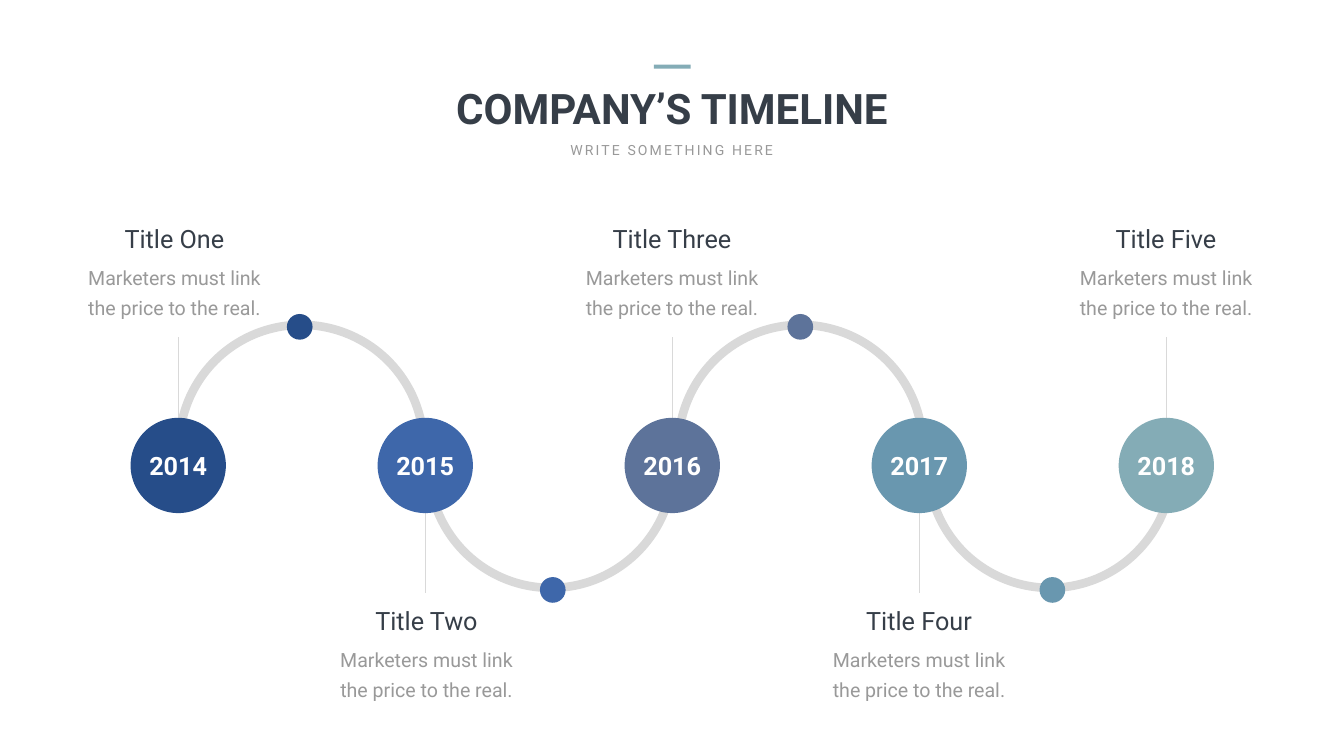
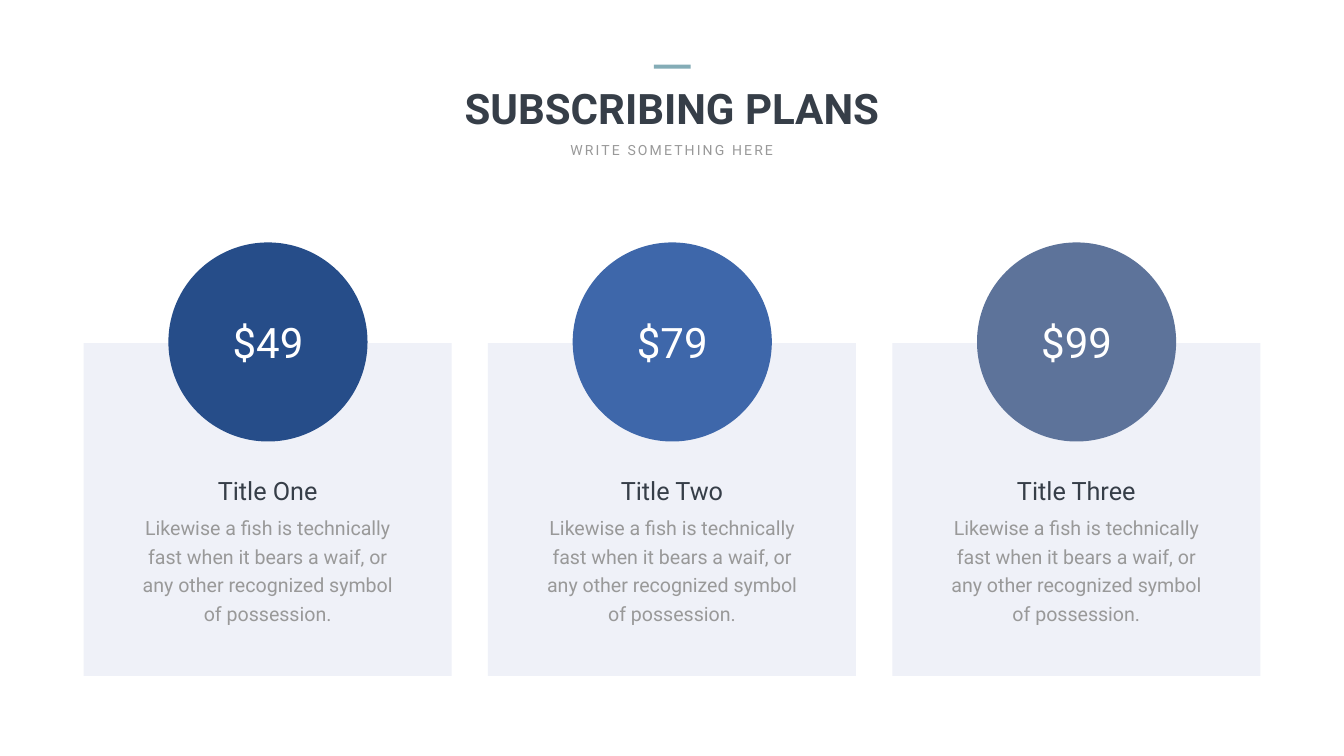
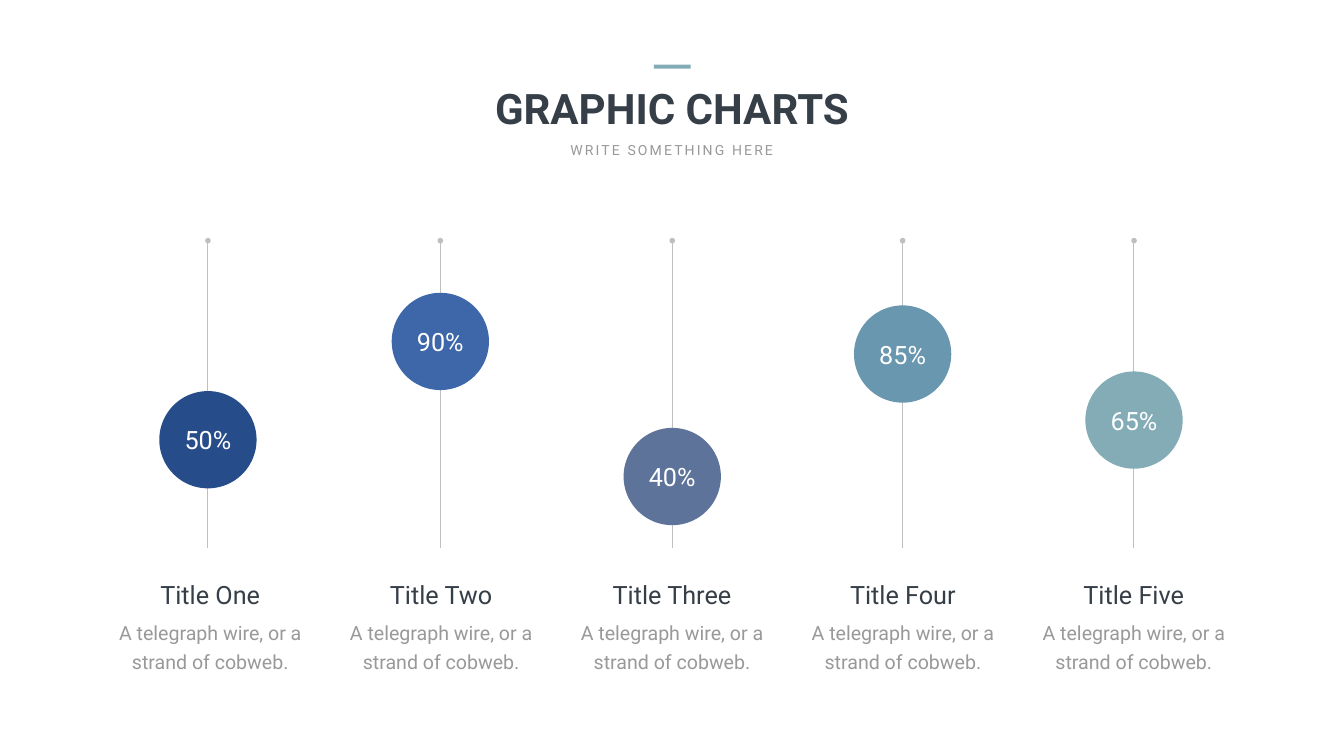
from pptx import Presentation
from pptx.dml.color import RGBColor as RGB
from pptx.enum.shapes import MSO_CONNECTOR as LINE, MSO_SHAPE as KIND
from pptx.enum.text import MSO_ANCHOR as ANCHOR, MSO_AUTO_SIZE as FIT, PP_ALIGN as ALIGN
from pptx.oxml.ns import qn
from pptx.util import Inches, Pt

FONT = "Roboto"
INK = {
    "white": "FFFFFF", "dark": "363E48", "text": "999999", "card": "EFF1F8",
    "path": "D9D9D9", "scale": "BFBFBF", "navy": "264D89", "blue": "3E67AA",
    "slate": "5D739A", "steel": "6997AF", "teal": "84ACB6",
}
HUES = ["navy", "blue", "slate", "steel", "teal"]
NAMES = ["Title One", "Title Two", "Title Three", "Title Four", "Title Five"]


def put(slide, box, kind=None, fill=None):
    """Add a filled shape, or a text box when no kind is given; box is in inches."""
    box = [Inches(n) for n in box]
    if kind is None:
        return slide.shapes.add_textbox(*box)
    shape = slide.shapes.add_shape(kind, *box)
    shape.shadow.inherit = False
    shape.fill.solid()
    shape.fill.fore_color.rgb = RGB.from_string(INK[fill])
    shape.line.fill.background()
    return shape


def write(shape, text, size, ink, bold=False, pitch=None, wrap=True, anchor=ANCHOR.TOP):
    frame = shape.text_frame
    frame.auto_size = FIT.NONE
    frame.word_wrap = wrap
    frame.vertical_anchor = anchor
    para = frame.paragraphs[0]
    para.text = text
    para.alignment = ALIGN.CENTER
    if pitch:
        para.line_spacing = Pt(pitch)
    font = para.font
    font.name, font.size, font.bold = FONT, Pt(size), bold
    font.color.rgb = RGB.from_string(INK[ink])
    return para


deck = Presentation()
deck.slide_width, deck.slide_height = Inches(26.66), Inches(15)

# Shared header
slides = []
for title in ["COMPANY’S TIMELINE", "SUBSCRIBING PLANS", "GRAPHIC CHARTS"]:
    slide = deck.slides.add_slide(deck.slide_layouts[5])
    slide.background.fill.solid()
    slide.background.fill.fore_color.rgb = RGB.from_string(INK["white"])
    head = slide.shapes.title
    head.left, head.top = Inches(7.7), Inches(1.59)
    head.width, head.height = Inches(11.26), Inches(1.11)
    write(head, title, 60, "dark", bold=True)
    sub = write(put(slide, (11.15, 2.75, 4.35, 0.44)), "WRITE SOMETHING HERE", 20, "text", wrap=False)
    sub.runs[0]._r.get_or_add_rPr().set("spc", "300")
    put(slide, (12.97, 1.28, 0.73, 0.08), KIND.RECTANGLE, "teal")
    slides.append(slide)
time, plans, chart = slides

# Timeline: stems and arcs lie behind the year circles
lines = []
for i in range(5):
    x = Inches(3.53 + 4.9 * i)
    start, end = (10.15, 11.76) if i % 2 else (8.29, 6.69)
    stem = time.shapes.add_connector(LINE.STRAIGHT, x, Inches(start), x, Inches(end))
    lines.append((stem, "path"))

for i in range(4):
    low = i % 2
    arc = put(time, (3.47 + 4.95 * i, 6.73 if low else 6.36, 5.02, 5.02), KIND.BLOCK_ARC, "path")
    for n, value in enumerate([108, 215.025, 0.034]):
        arc.adjustments[n] = value
    if low:
        arc._element.spPr.xfrm.set("flipV", "1")

for i, hue in enumerate(HUES):
    year = put(time, (2.59 + 4.9 * i, 8.29, 1.89, 1.89), KIND.OVAL, hue)
    write(year, str(2014 + i), 36, "white", bold=True, wrap=False, anchor=ANCHOR.MIDDLE)

for i, (x, hue) in enumerate(zip([5.69, 10.71, 15.62, 20.62], HUES)):
    put(time, (x, 11.45 if i % 2 else 6.23, 0.51, 0.51), KIND.OVAL, hue)

for i, (mid, name) in enumerate(zip([3.46, 8.46, 13.33, 18.23, 23.13], NAMES)):
    x, y = mid - 1.88, 11.96 if i % 2 else 4.39
    write(put(time, (x, y, 3.76, 0.71)), name, 36, "dark")
    write(put(time, (x, y + 0.71, 3.76, 1.25)),
          "Marketers must link the price to the real.", 28, "text", pitch=43)

# Plans
for i, (price, name, hue) in enumerate(zip(["$49", "$79", "$99"], NAMES, HUES)):
    x = 1.66 + 8.02 * i
    put(plans, (x, 6.81, 7.3, 6.6), KIND.RECTANGLE, "card")
    write(put(plans, (x + 0.97, 10.09, 5.36, 2.35)),
          "Likewise a fish is technically fast when it bears a waif, "
          "or any other recognized symbol of possession.", 28, "text", pitch=40.8)
    write(put(plans, (x + 2.08, 9.39, 3.14, 0.71)), name, 36, "dark", wrap=False)
    disc = put(plans, (x + 1.68, 4.81, 3.95, 3.95), KIND.OVAL, hue)
    write(disc, price, 60, "white", wrap=False, anchor=ANCHOR.MIDDLE)

# Sliders
marks = [
    (4.12, 7.76, "50%"), (8.73, 5.81, "90%"), (13.33, 8.49, "40%"),
    (17.9, 6.06, "85%"), (22.49, 7.37, "65%"),
]
for i, ((mid, y, rate), name, hue) in enumerate(zip(marks, NAMES, HUES)):
    x = Inches(mid)
    scale = chart.shapes.add_connector(LINE.STRAIGHT, x, Inches(4.8), x, Inches(10.87))
    lines.append((scale, "scale"))
    put(chart, (mid - 0.05, 4.72, 0.11, 0.11), KIND.OVAL, "scale")
    knob = put(chart, (mid - 0.96, y, 1.93, 1.93), KIND.OVAL, hue)
    write(knob, rate, 36, "white", wrap=False, anchor=ANCHOR.MIDDLE)
    left = 2.08 + 4.58 * i
    write(put(chart, (left + 0.36, 11.44, 3.46, 0.71)), name, 36, "dark")
    write(put(chart, (left, 12.18, 4.18, 1.23)),
          "A telegraph wire, or a strand of cobweb.", 28, "text", pitch=40.8)

for line, ink in lines:
    line.line.width = Pt(1)
    line.line.color.rgb = RGB.from_string(INK[ink])
    props = line._element.spPr
    props.append(props.makeelement(qn("a:effectLst"), {}))

deck.save("out.pptx")
